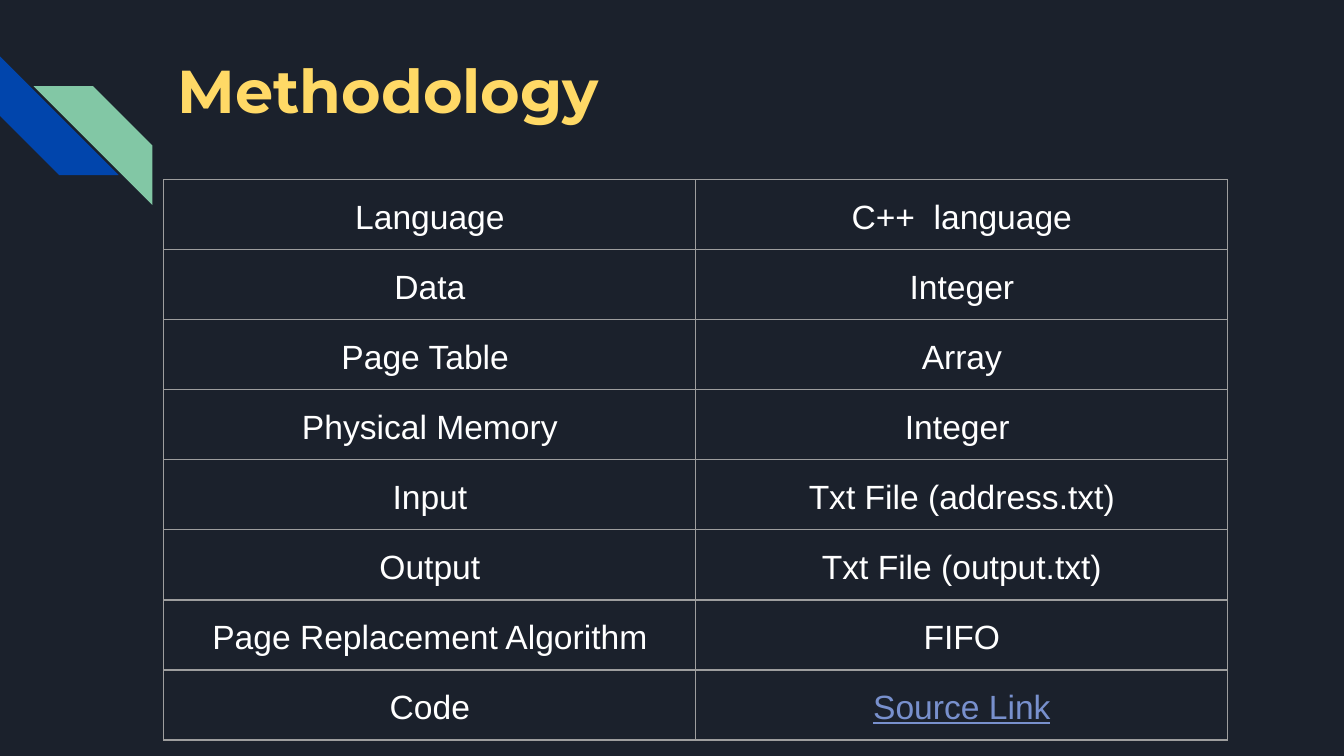
from dataclasses import dataclass

from lxml import etree
from pptx import Presentation
from pptx.dml.color import RGBColor
from pptx.enum.shapes import MSO_SHAPE
from pptx.enum.text import MSO_ANCHOR, PP_ALIGN
from pptx.oxml.ns import qn
from pptx.util import Pt

STRIPE = MSO_SHAPE.DIAGONAL_STRIPE
CENTER = PP_ALIGN.CENTER
TOP = MSO_ANCHOR.TOP


@dataclass(frozen=True)
class Theme:
    """Colours, fonts and sizes of the deck."""
    background: str = "1B212C"
    blue: str = "0145AC"
    green: str = "82C7A5"
    title: str = "FFD966"
    text: str = "FFFFFF"
    link: str = "7890CD"
    border: str = "9E9E9E"
    title_font: str = "Montserrat"
    body_font: str = "Arial"
    title_size: float = 32.4
    body_size: float = 18
    border_width: float = 0.75
    inset: float = 7.2
    cell_bottom: float = 5
    line_spacing: float = 1.15


class SlideBuilder:
    """Draws styled elements on one slide; lengths are in points."""

    def __init__(self, slide, theme):
        """Keep the slide and theme, and paint the background."""
        self.slide, self.theme = slide, theme
        fill = slide.background.fill
        fill.solid()
        fill.fore_color.rgb = RGBColor.from_string(theme.background)

    def add_run(self, p, text, font, size, color, bold=False, underline=False):
        """Append a styled run to a paragraph."""
        r = p.add_run()
        r.text = text
        r.font.name, r.font.size = font, Pt(size)
        r.font.bold, r.font.underline = bold, underline
        r.font.color.rgb = RGBColor.from_string(color)

    def stripe(self, x, y, size, color, rotation):
        """Add a square diagonal stripe."""
        sp = self.slide.shapes.add_shape(STRIPE, Pt(x), Pt(y), Pt(size), Pt(size))
        sp.rotation = rotation
        sp.shadow.inherit = False
        sp.fill.solid()
        sp.fill.fore_color.rgb = RGBColor.from_string(color)
        sp.line.fill.background()

    def title(self, text, x, y, w, h):
        """Add the slide heading."""
        t = self.theme
        tf = self.slide.shapes.add_textbox(Pt(x), Pt(y), Pt(w), Pt(h)).text_frame
        tf.word_wrap = True
        tf.vertical_anchor = TOP
        tf.margin_left = tf.margin_right = Pt(t.inset)
        tf.margin_top = tf.margin_bottom = Pt(t.inset)
        self.add_run(tf.paragraphs[0], text, t.title_font, t.title_size,
                     t.title, bold=True)

    def border(self, cell):
        """Draw a thin line on all four sides of a cell."""
        props = cell._tc.get_or_add_tcPr()
        for side in ("lnL", "lnR", "lnT", "lnB"):
            ln = etree.SubElement(props, qn(f"a:{side}"),
                                  w=str(Pt(self.theme.border_width)))
            fill = etree.SubElement(ln, qn("a:solidFill"))
            etree.SubElement(fill, qn("a:srgbClr"), val=self.theme.border)

    def cell(self, cell, text, is_link):
        """Style and fill one table cell."""
        t = self.theme
        self.border(cell)
        cell.fill.background()
        cell.margin_left = cell.margin_right = cell.margin_top = Pt(t.inset)
        cell.margin_bottom = Pt(t.cell_bottom)
        p = cell.text_frame.paragraphs[0]
        p.alignment, p.line_spacing = CENTER, t.line_spacing
        self.add_run(p, text, t.body_font, t.body_size,
                     t.link if is_link else t.text, underline=is_link)

    def table(self, rows, x, y, col_w, row_h, link):
        """Add a table with equal columns; the link text is underlined."""
        cols = len(rows[0])
        table = self.slide.shapes.add_table(
            len(rows), cols, Pt(x), Pt(y),
            Pt(col_w * cols), Pt(row_h * len(rows))).table
        table.first_row = table.horz_banding = False
        for i, row in enumerate(rows):
            for j, text in enumerate(row):
                self.cell(table.cell(i, j), text, text == link)


LINK = "Source Link"
METHODS = [
    ("Language", "C++  language"),
    ("Data", "Integer"),
    ("Page Table ", "Array"),
    ("Physical Memory", "Integer "),
    ("Input", "Txt File (address.txt)"),
    ("Output", "Txt File (output.txt)"),
    ("Page Replacement Algorithm", "FIFO"),
    ("Code", LINK),
]


def main():
    """Build and save the methodology slide."""
    prs = Presentation()
    prs.slide_width, prs.slide_height = Pt(720), Pt(405)
    theme = Theme()
    builder = SlideBuilder(prs.slides.add_slide(prs.slide_layouts[6]), theme)
    builder.stripe(0, 30.2, 63.6, theme.blue, 270)
    builder.stripe(18, 46.2, 63.6, theme.green, 90)
    builder.title("Methodology", 88, 21.2, 455, 49.7)
    builder.table(METHODS, 87.8, 96.2, 285, 37.55, LINK)
    prs.save("out.pptx")


main()
